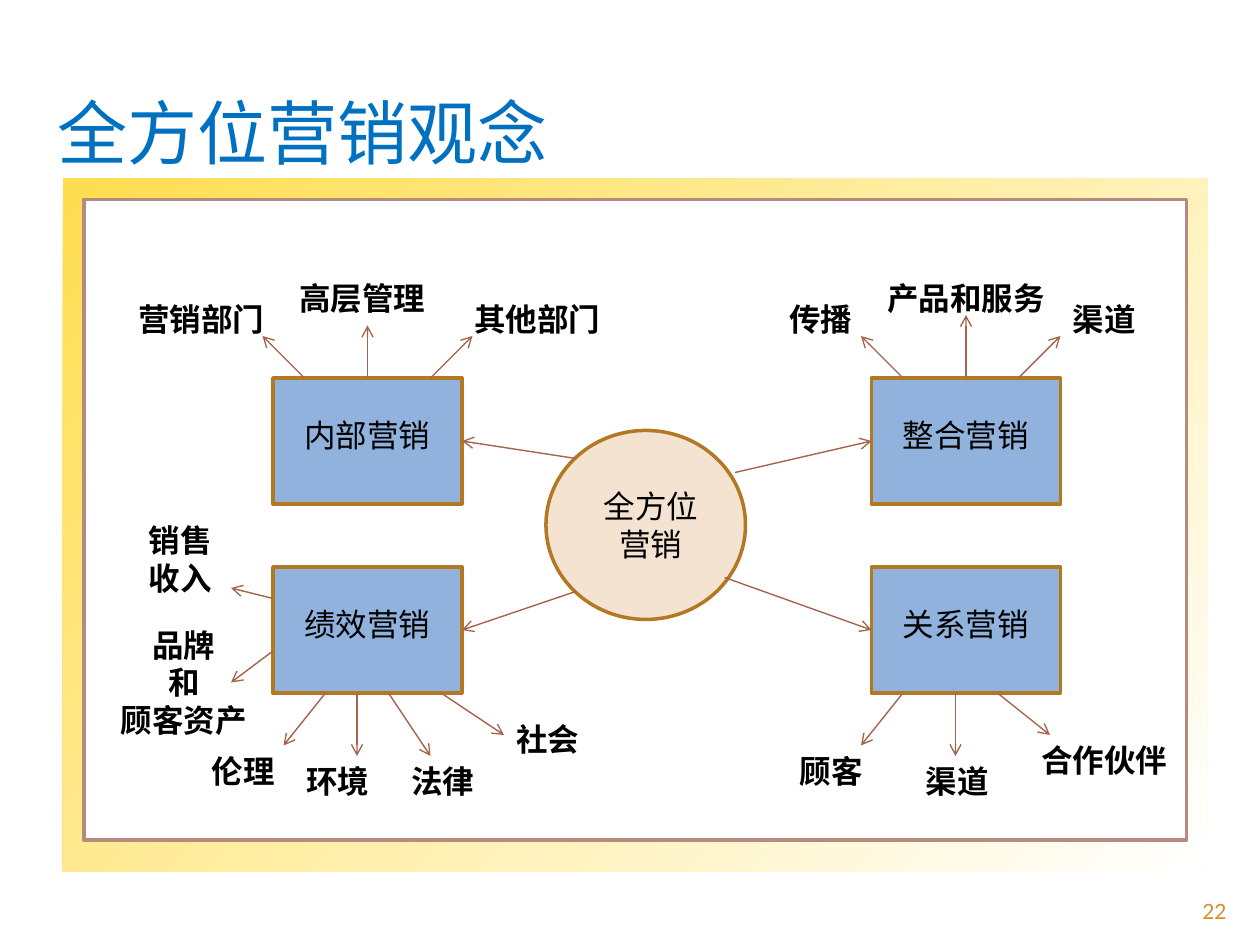
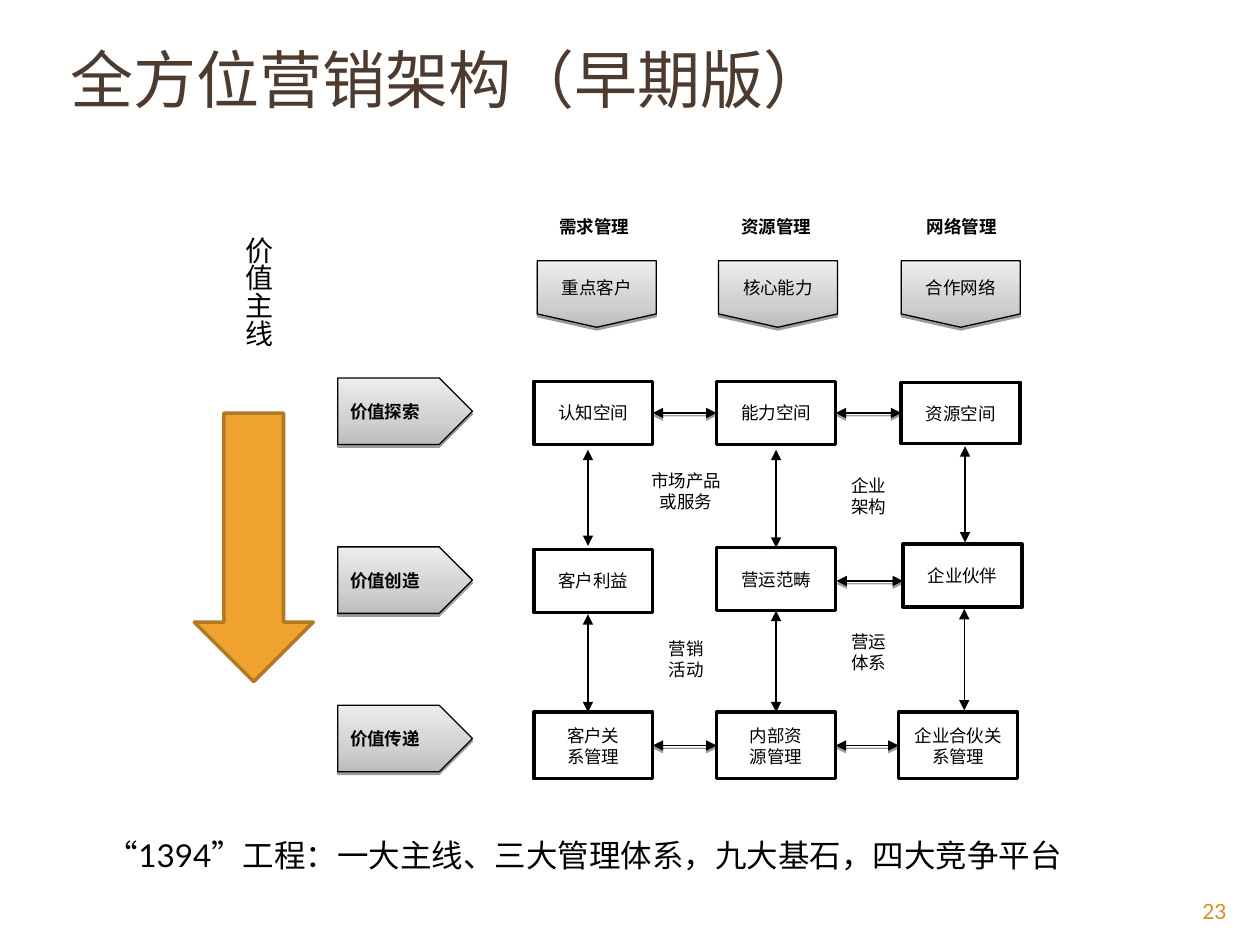
from collections import namedtuple

from lxml.etree import SubElement
from pptx import Presentation
from pptx.dml.color import RGBColor
from pptx.enum.shapes import MSO_CONNECTOR as Connector, MSO_SHAPE as Preset
from pptx.enum.text import MSO_ANCHOR as Anchor, PP_ALIGN as Align
from pptx.oxml.ns import qn
from pptx.util import Pt

COLORS = {
    "black": "000000", "white": "FFFFFF", "blue": "0070C0", "brown": "4E3B30",
    "page": "D48F29", "yellow": "FFDD4F", "panel_line": "B58B80", "arrow": "A5644E",
    "block": "90B2DC", "hub": "F5E3D1", "amber": "F0A22E", "amber_line": "B27822",
    "gray_dark": "BCBCBC", "gray": "D0D0D0", "gray_light": "EDEDED",
}
CJK = "Noto Sans CJK SC"
LATIN = "Lato"
TOP, LEFT, BOTTOM, RIGHT = range(4)
GRAY_STOPS = [(0, "gray_dark"), (35, "gray"), (100, "gray_light")]

Box = namedtuple("Box", "left top width height")


def inside(box, x, y, width, height):
    return Box(box.left + x, box.top + y, width, height)


def color(name):
    return RGBColor.from_string(COLORS[name])


def write(shape, lines, size, font=CJK, ink="black", bold=False, align=Align.CENTER,
          anchor=Anchor.MIDDLE):
    frame = shape.text_frame
    frame.word_wrap = True
    frame.vertical_anchor = anchor
    for index, line in enumerate(lines.split("\n")):
        paragraph = frame.add_paragraph() if index else frame.paragraphs[0]
        paragraph.alignment = align
        run = paragraph.add_run()
        run.text = line
        run.font.name = font
        run.font.size = Pt(size)
        run.font.bold = bold
        run.font.color.rgb = color(ink)
        SubElement(run.font._element, qn("a:ea"), typeface=CJK)
    return frame


def add_text(slide, box, lines, size, **style):
    shape = slide.shapes.add_textbox(*map(Pt, box))
    return write(shape, lines, size, **style)


def add_preset(slide, preset, box, fill, line=None, width=2):
    shape = slide.shapes.add_shape(preset, *map(Pt, box))
    shape.shadow.inherit = False
    if fill:
        shape.fill.solid()
        shape.fill.fore_color.rgb = color(fill)
    if line:
        shape.line.color.rgb = color(line)
        shape.line.width = Pt(width)
    else:
        shape.line.fill.background()
    return shape


def set_gradient(shape, stops, angle):
    shape.fill.gradient()
    gradient = shape._element.spPr.find(qn("a:gradFill"))
    stop_list = gradient.find(qn("a:gsLst"))
    for old_stop in list(stop_list):
        stop_list.remove(old_stop)
    for position, name in stops:
        stop = SubElement(stop_list, qn("a:gs"), pos=str(position * 1000))
        SubElement(stop, qn("a:srgbClr"), val=COLORS[name])
    gradient.find(qn("a:lin")).set("ang", str(angle * 60000))


def add_shadow(effects):
    shadow = SubElement(effects, qn("a:outerShdw"), blurRad="0", dist=str(Pt(1.6)),
                        dir="5400000", rotWithShape="0")
    shade = SubElement(shadow, qn("a:srgbClr"), val=COLORS["black"])
    SubElement(shade, qn("a:alpha"), val="38000")


def add_arrow(slide, start, end, ink="arrow", width=0.79, tip="arrow", double=False,
              shadow=False, begin_at=None, end_at=None):
    arrow = slide.shapes.add_connector(Connector.STRAIGHT, *map(Pt, (*start, *end)))
    if begin_at:
        arrow.begin_connect(*begin_at)
    if end_at:
        arrow.end_connect(*end_at)
    arrow.line.color.rgb = color(ink)
    arrow.line.width = Pt(width)
    line = arrow.line._get_or_add_ln()
    if double:
        SubElement(line, qn("a:headEnd"), type=tip)
    SubElement(line, qn("a:tailEnd"), type=tip)
    effects = SubElement(arrow._element.spPr, qn("a:effectLst"))
    if shadow:
        add_shadow(effects)


def add_gray_marker(slide, preset, box, caption, **style):
    marker = add_preset(slide, preset, box, None, "black", 0.75)
    set_gradient(marker, GRAY_STOPS, 270)
    add_shadow(marker._element.spPr.find(qn("a:effectLst")))
    write(marker, caption, 10, **style)


def new_slide(presentation, page):
    slide = presentation.slides.add_slide(presentation.slide_layouts[6])
    add_text(slide, Box(648, 510, 60, 19), page, 12, font=LATIN, ink="page",
             align=Align.RIGHT, anchor=Anchor.TOP)
    return slide


def add_title(slide, box, text, size, ink):
    add_text(slide, box, text, size, ink=ink, align=Align.LEFT)


BLOCKS = [
    ("内部营销", 108, 102, RIGHT, (281, 148),
     [(18, 0, -6, -24), (54, 0, 54, -30), (90, 0, 114, -24)],
     [("营销部门", -84, -48, 102, Align.LEFT), ("高层管理", -6, -60, 114, Align.CENTER),
      ("其他部门", 108, -48, 96, Align.LEFT)]),
    ("整合营销", 450, 102, LEFT, (372, 156),
     [(18, 0, -6, -24), (54, 0, 54, -36), (84, 0, 108, -24)],
     [("传播", -54, -48, 54, Align.LEFT), ("产品和服务", -6, -60, 120, Align.CENTER),
      ("渠道", 108, -48, 66, Align.LEFT)]),
    ("绩效营销", 108, 210, RIGHT, (281, 224),
     [(0, 18, -24, 12), (0, 48, -24, 66), (30, 72, 6, 102), (48, 72, 48, 108),
      (66, 72, 90, 108), (96, 72, 132, 96)],
     [("销售收入", -78, -30, 54, Align.LEFT),
      ("品牌\n和\n顾客资产", -96, 30, 90, Align.CENTER),
      ("伦理", -42, 102, 60, Align.LEFT), ("环境", 12, 108, 54, Align.LEFT),
      ("法律", 72, 108, 60, Align.LEFT), ("社会", 132, 84, 60, Align.LEFT)]),
    ("关系营销", 450, 210, LEFT, (366, 216),
     [(18, 72, -6, 102), (48, 72, 48, 108), (72, 72, 102, 96)],
     [("顾客", -48, 102, 60, Align.LEFT), ("渠道", 24, 108, 60, Align.LEFT),
      ("合作伙伴", 90, 96, 90, Align.LEFT)]),
]


def draw_block(slide, box, caption, spokes, labels):
    block = add_preset(slide, Preset.RECTANGLE, box, "block", "amber_line")
    write(block, caption, 18, anchor=Anchor.TOP).margin_top = Pt(21.6)
    for x, y, tip_x, tip_y in spokes:
        top_middle = (x, y) == (box.width / 2, 0)
        add_arrow(slide, (box.left + x, box.top + y), (box.left + tip_x, box.top + tip_y),
                  begin_at=(block, TOP) if top_middle else None)
    for text, x, y, width, align in labels:
        add_text(slide, inside(box, x, y, width, 29), text, 18, font=LATIN, bold=True,
                 align=align, anchor=Anchor.TOP)
    return block


def draw_panel(slide, box):
    backdrop = inside(box, -12, -12, box.width + 24, box.height + 30)
    set_gradient(add_preset(slide, Preset.RECTANGLE, backdrop, None),
                 [(0, "yellow"), (100, "white")], 45)
    add_preset(slide, Preset.RECTANGLE, box, "white", "panel_line")


def draw_hub_map(slide, box):
    hub = add_preset(slide, Preset.OVAL, inside(box, 264, 132, 114, 108), "hub", "amber_line")
    frame = write(hub, "全方位营销", 18)
    frame.margin_left, frame.margin_right = Pt(10), Pt(4)
    for caption, x, y, side, (hub_x, hub_y), spokes, labels in BLOCKS:
        place = inside(box, x, y, 108, 72)
        block = draw_block(slide, place, caption, spokes, labels)
        start = (box.left + hub_x, box.top + hub_y)
        add_arrow(slide, start, start, end_at=(block, side))


HEADERS = [("需求管理", "重点客户", 0, 2), ("资源管理", "核心能力", 104, 105.5),
           ("网络管理", "合作网络", 210, 210)]
CELLS = [
    [("认知空间", 34, 120, 36), ("能力空间", 138.5, 120, 36), ("资源空间", 244, 120, 35)],
    [("客户利益", 34, 216, 36), ("营运范畴", 138.5, 215, 36), ("企业伙伴", 245, 213, 36)],
    [("客户关\n系管理", 34, 310, 38), ("内部资\n源管理", 138.5, 310, 38),
     ("企业合伙关系管理", 242.5, 310, 38)],
]
PLATFORMS = [("市场产品\n或服务", 57, 141), ("企业\n架构", 161.5, 144),
             ("营销\n活动", 57, 237), ("营运\n体系", 161.5, 233)]
FREE_ARROWS = [(31, 141, 196), (31, 235, 291), (246.5, 139, 194), (246, 232, 290)]


def draw_matrix(slide, box):
    for system, focus, x, flag_x in HEADERS:
        add_text(slide, inside(box, x, 0, 69, 27), system, 10, bold=True)
        add_gray_marker(slide, Preset.FLOWCHART_OFFPAGE_CONNECTOR,
                        inside(box, flag_x, 33, 68, 38), focus)
    for text, x, y in PLATFORMS:
        add_text(slide, inside(box, x, y, 60, 47), text, 10)

    grid = []
    for row in CELLS:
        shapes = []
        for text, center_x, center_y, height in row:
            place = inside(box, center_x - 34, center_y - height / 2, 68, height)
            cell = add_preset(slide, Preset.RECTANGLE, place, "white", "black")
            write(cell, text, 10, font="Calibri")
            shapes.append(cell)
        grid.append(shapes)

    style = dict(ink="black", width=0.75, tip="triangle", double=True)
    origin = (box.left, box.top)
    for row in (grid[0], grid[2]):
        for near, far in zip(row, row[1:]):
            add_arrow(slide, origin, origin, shadow=True, begin_at=(near, RIGHT),
                      end_at=(far, LEFT), **style)
    add_arrow(slide, (box.left + 173, box.top + 216), (box.left + 211, box.top + 216),
              shadow=True, **style)
    for x, top, bottom in FREE_ARROWS:
        add_arrow(slide, (box.left + x, box.top + top), (box.left + x, box.top + bottom),
                  **style)
    upper, middle, lower = [row[1] for row in grid]
    start = (box.left + 138.5, box.top + 141)
    add_arrow(slide, start, start, end_at=(middle, TOP), **style)
    add_arrow(slide, start, start, begin_at=(middle, BOTTOM), end_at=(lower, TOP), **style)


def draw_value_line(slide, box):
    frame = add_text(slide, inside(box, 20, 0, 34, 108), "价值主线", 16, font=LATIN,
                     align=Align.LEFT)
    frame._txBody.bodyPr.set("vert", "eaVert")
    add_preset(slide, Preset.DOWN_ARROW, inside(box, 0, 108, 68, 153.5), "amber", "amber_line")
    for stage, y in [("价值探索", 88), ("价值创造", 184.5), ("价值传递", 275)]:
        add_gray_marker(slide, Preset.PENTAGON, inside(box, 82, y, 77, 38), stage,
                        bold=True, align=Align.LEFT)


def build_concept_slide(presentation):
    slide = new_slide(presentation, "22")
    panel = Box(48, 114, 630, 366)
    draw_panel(slide, panel)
    add_title(slide, Box(26, 30, 664, 90), "全方位营销观念", 40, "blue")
    draw_hub_map(slide, panel)


def build_framework_slide(presentation):
    slide = new_slide(presentation, "23")
    add_title(slide, Box(33, 0, 664, 90), "全方位营销架构（早期版）", 36, "brown")
    draw_value_line(slide, Box(111, 128, 160, 313))
    draw_matrix(slide, Box(305, 116, 279, 329))
    add_text(slide, Box(54, 474, 641, 29), "“1394”工程：一大主线、三大管理体系，九大基石，四大竞争平台",
             18, font=LATIN, align=Align.LEFT, anchor=Anchor.TOP)


def main():
    presentation = Presentation()
    presentation.slide_width, presentation.slide_height = Pt(720), Pt(540)
    build_concept_slide(presentation)
    build_framework_slide(presentation)
    presentation.save("out.pptx")


if __name__ == "__main__":
    main()
